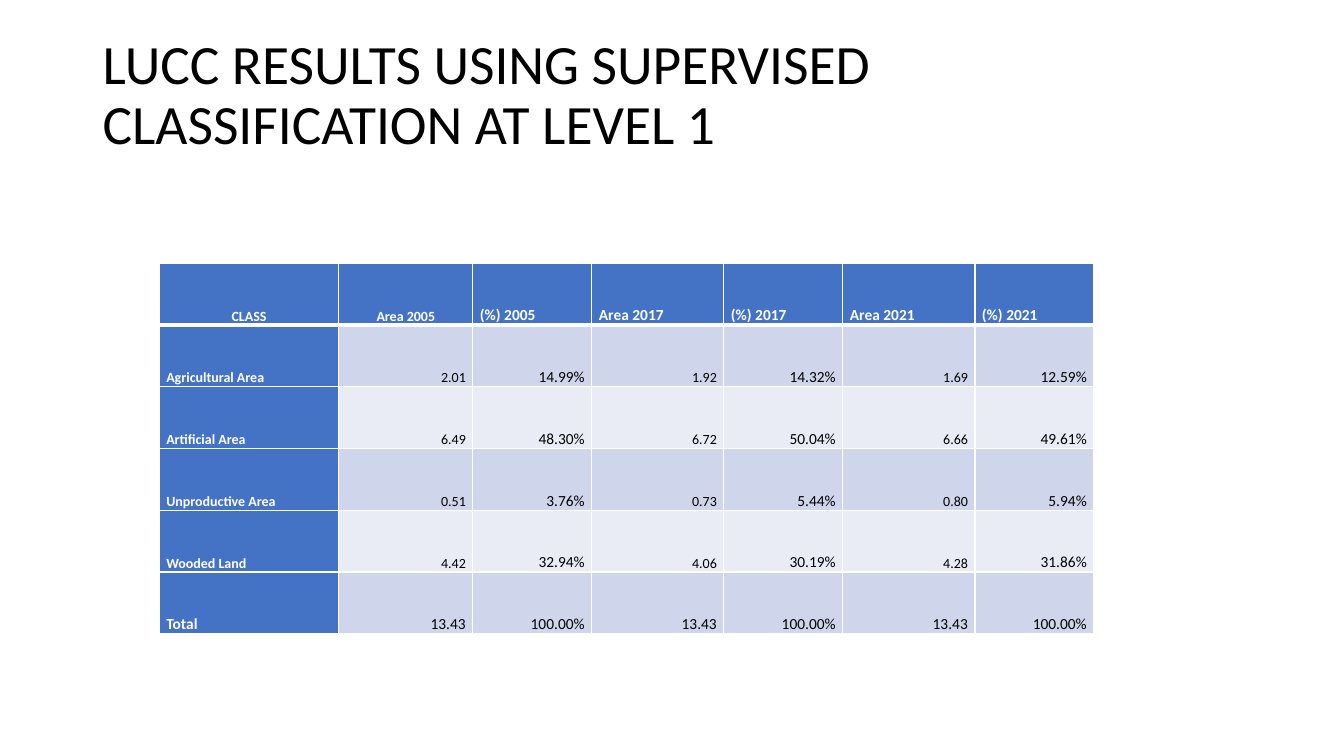
from lxml.etree import SubElement
from pptx import Presentation
from pptx.dml.color import RGBColor
from pptx.enum.text import MSO_ANCHOR, PP_ALIGN
from pptx.oxml.ns import qn
from pptx.util import Inches, Pt

COLORS = {"header": "4472C4", "band_dark": "CFD5EA", "band_light": "E9EBF5",
          "white": "FFFFFF", "black": "000000"}
FONT = "Calibri"

TITLE = "LUCC RESULTS USING SUPERVISED CLASSIFICATION AT LEVEL 1"
LAND_COVER = [
    ["CLASS", "Area 2005", "(%) 2005", "Area 2017", "(%) 2017", "Area 2021", "(%) 2021"],
    ["Agricultural Area", "2.01", "14.99%", "1.92", "14.32%", "1.69", "12.59%"],
    ["Artificial Area", "6.49", "48.30%", "6.72", "50.04%", "6.66", "49.61%"],
    ["Unproductive Area", "0.51", "3.76%", "0.73", "5.44%", "0.80", "5.94%"],
    ["Wooded Land", "4.42", "32.94%", "4.06", "30.19%", "4.28", "31.86%"],
    ["Total", "13.43", "100.00%", "13.43", "100.00%", "13.43", "100.00%"],
]
COLUMN_WIDTHS = [1.78, 1.33, 1.18, 1.31, 1.18, 1.31, 1.18]


def rgb(name):
    return RGBColor.from_string(COLORS[name])


def style_text(paragraph, size, color, bold, align, spacing):
    paragraph.alignment = align
    paragraph.line_spacing = spacing
    for run in paragraph.runs:
        run.font.name = FONT
        run.font.size = Pt(size)
        run.font.bold = bold
        run.font.color.rgb = rgb(color)


def add_title(slide, left, top, width, height):
    title = slide.shapes.add_textbox(Inches(left), Inches(top), Inches(width), Inches(height))
    frame = title.text_frame
    frame.word_wrap = True
    frame.vertical_anchor = MSO_ANCHOR.TOP
    frame.margin_top = frame.margin_bottom = 0
    frame.text = TITLE
    style_text(frame.paragraphs[0], 39.6, "black", False, PP_ALIGN.LEFT, 0.9)


def set_borders(cell, row):
    # The rule under the header row is heavier than the rest
    widths = {"lnL": 1, "lnR": 1, "lnT": 3 if row == 1 else 1, "lnB": 3 if row == 0 else 1}
    for side, width in widths.items():
        line = SubElement(cell._tc.get_or_add_tcPr(), qn(f"a:{side}"), w=str(Pt(width)))
        fill = SubElement(line, qn("a:solidFill"))
        SubElement(fill, qn("a:srgbClr"), val=COLORS["white"])


def style_cell(cell, row, column):
    is_header = row == 0 or column == 0
    is_total = row == len(LAND_COVER) - 1
    is_percent = column > 0 and column % 2 == 0
    is_large = is_total or is_percent or (row == 0 and column > 1)

    if row == 0 and column < 2:
        align = PP_ALIGN.CENTER
    else:
        align = PP_ALIGN.LEFT if is_header else PP_ALIGN.RIGHT

    set_borders(cell, row)
    cell.fill.solid()
    band = "band_dark" if row % 2 else "band_light"
    cell.fill.fore_color.rgb = rgb("header" if is_header else band)
    cell.vertical_anchor = MSO_ANCHOR.BOTTOM
    cell.margin_left = cell.margin_right = Inches(0.07)
    cell.margin_top = cell.margin_bottom = 0
    style_text(cell.text_frame.paragraphs[0], 11 if is_large else 10,
               "white" if is_header else "black", is_header, align, 1.07)


def add_land_cover_table(slide, left, top, width, height):
    table = slide.shapes.add_table(len(LAND_COVER), len(COLUMN_WIDTHS), Inches(left),
                                   Inches(top), Inches(width), Inches(height)).table
    for column, column_width in zip(table.columns, COLUMN_WIDTHS):
        column.width = Inches(column_width)
    for row, values in enumerate(LAND_COVER):
        for column, value in enumerate(values):
            cell = table.cell(row, column)
            cell.text_frame.text = value
            style_cell(cell, row, column)


def main():
    presentation = Presentation()
    presentation.slide_width = Inches(13.33)
    presentation.slide_height = Inches(7.5)
    slide = presentation.slides.add_slide(presentation.slide_layouts[6])

    add_title(slide, 0.92, 0.36, 11.5, 1.72)
    add_land_cover_table(slide, 1.58, 2.61, sum(COLUMN_WIDTHS), 3.68)

    presentation.save("out.pptx")


if __name__ == "__main__":
    main()
